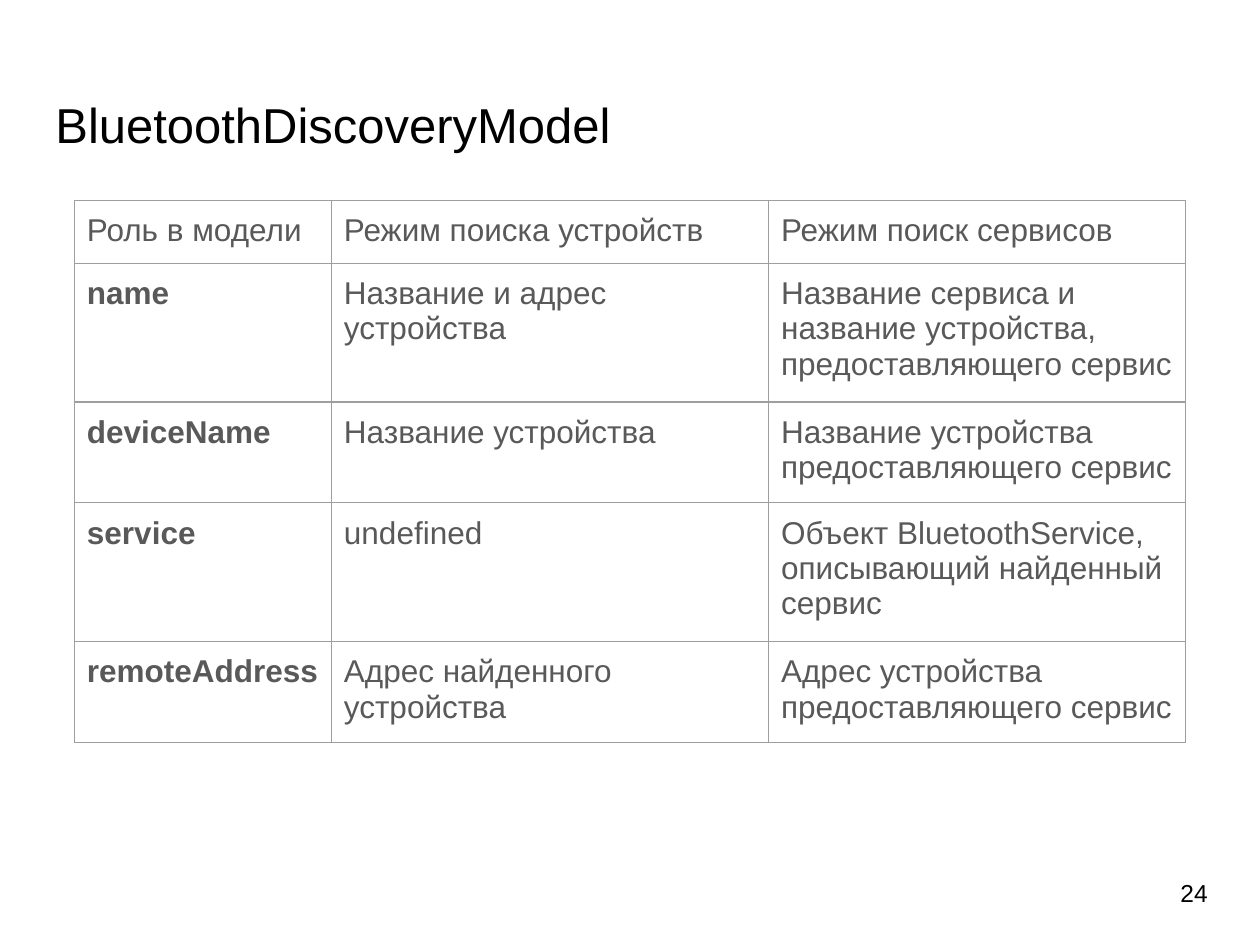
from lxml import etree
from pptx import Presentation
from pptx.dml.color import RGBColor
from pptx.enum.text import MSO_ANCHOR, PP_ALIGN
from pptx.oxml.ns import qn
from pptx.util import Inches, Pt

LEFT = PP_ALIGN.LEFT
TOP, MIDDLE = MSO_ANCHOR.TOP, MSO_ANCHOR.MIDDLE
BLACK = RGBColor(0x00, 0x00, 0x00)
GRAY = RGBColor(0x59, 0x59, 0x59)
RULE = RGBColor(0x9E, 0x9E, 0x9E)

# Content
TITLE = "BluetoothDiscoveryModel"
NUMBER = "24"
ROWS = [
    ("Роль в модели", "Режим поиска устройств", "Режим поиск сервисов"),
    ("name", "Название и адрес устройства",
     "Название сервиса и название устройства, предоставляющего сервис"),
    ("deviceName", "Название устройства",
     "Название устройства предоставляющего сервис"),
    ("service", "undefined",
     "Объект BluetoothService, описывающий найденный сервис"),
    ("remoteAddress", "Адрес найденного устройства",
     "Адрес устройства предоставляющего сервис"),
]

# Layout, in inches; rows grow to fit their text
WIDTHS = (2.04, 3.47, 3.31)
HEIGHT = 0.42
PAD = 0.1


def write(frame, text, size, color, bold=False):
    frame.text = text
    para = frame.paragraphs[0]
    para.alignment = LEFT
    font = para.runs[0].font
    font.name, font.size, font.bold = "Arial", Pt(size), bold
    font.color.rgb = color


def pad(box):
    box.margin_left = box.margin_right = Inches(PAD)
    box.margin_top = box.margin_bottom = Inches(PAD)


def border(cell):
    props = cell._tc.get_or_add_tcPr()
    for i, side in enumerate(("lnL", "lnR", "lnT", "lnB")):
        line = etree.Element(qn("a:" + side), w=str(Pt(0.75)))
        fill = etree.SubElement(line, qn("a:solidFill"))
        etree.SubElement(fill, qn("a:srgbClr"), val=str(RULE))
        props.insert(i, line)


deck = Presentation()
deck.slide_width, deck.slide_height = Inches(10), Inches(7.5)
slide = deck.slides.add_slide(deck.slide_layouts[5])

# Title
title = slide.shapes.title
title.left, title.top = Inches(0.34), Inches(0.65)
title.width, title.height = Inches(9.32), Inches(0.83)
pad(title.text_frame)
title.text_frame.vertical_anchor = TOP
write(title.text_frame, TITLE, 28, BLACK)

# Slide number
page = slide.shapes.add_textbox(
    Inches(9.27), Inches(6.8), Inches(0.6), Inches(0.57)).text_frame
page.word_wrap = True
page.vertical_anchor = MIDDLE
pad(page)
write(page, NUMBER, 14, BLACK)

# Table of roles
table = slide.shapes.add_table(
    len(ROWS), len(WIDTHS), Inches(0.59), Inches(1.59),
    Inches(sum(WIDTHS)), Inches(HEIGHT * len(ROWS))).table
table.first_row = table.horz_banding = False
for col, width in zip(table.columns, WIDTHS):
    col.width = Inches(width)
for r, row in enumerate(ROWS):
    for c, text in enumerate(row):
        cell = table.cell(r, c)
        cell.fill.background()
        pad(cell)
        border(cell)
        write(cell.text_frame, text, 18, GRAY, bold=r > 0 and c == 0)

deck.save("out.pptx")
